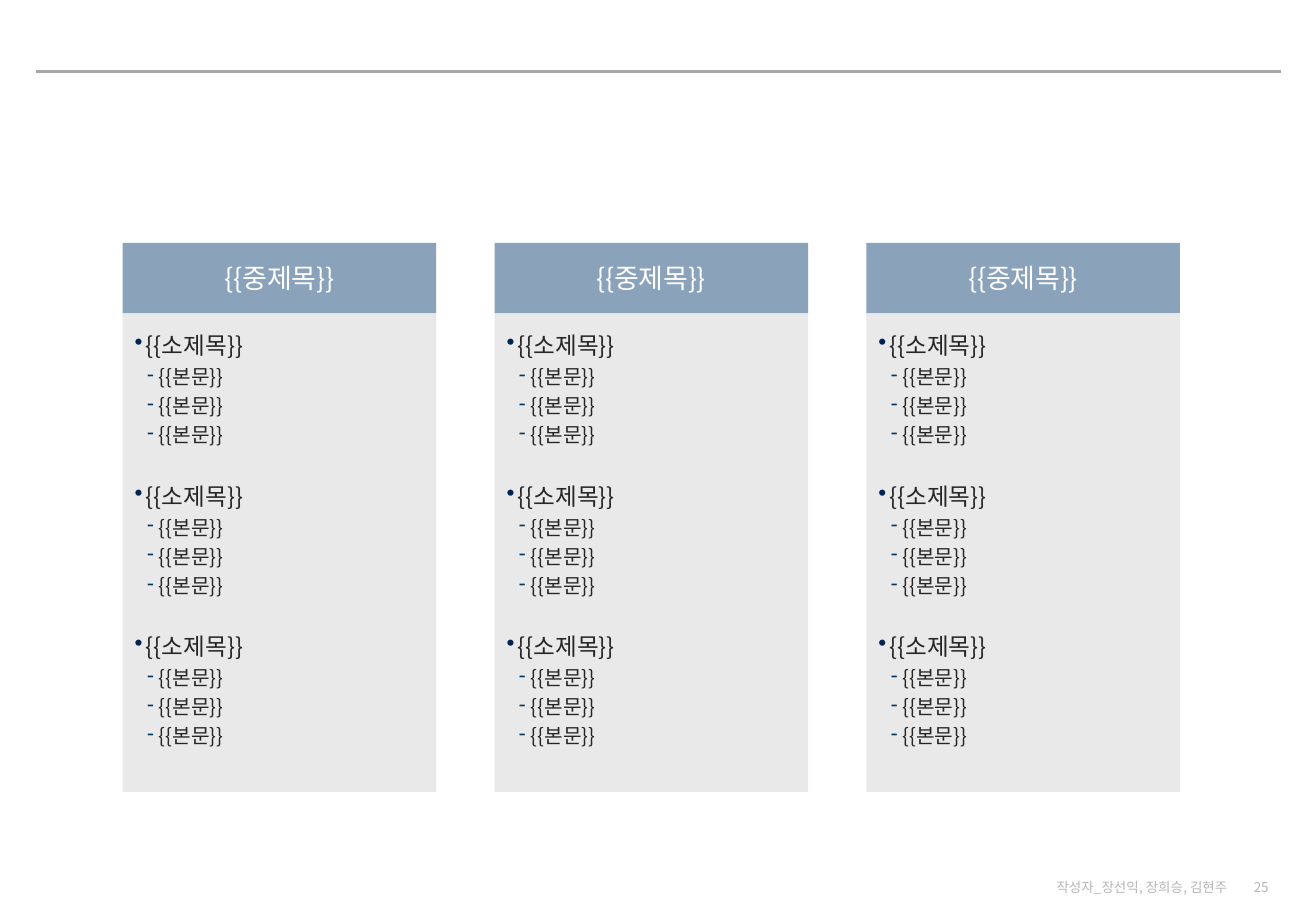
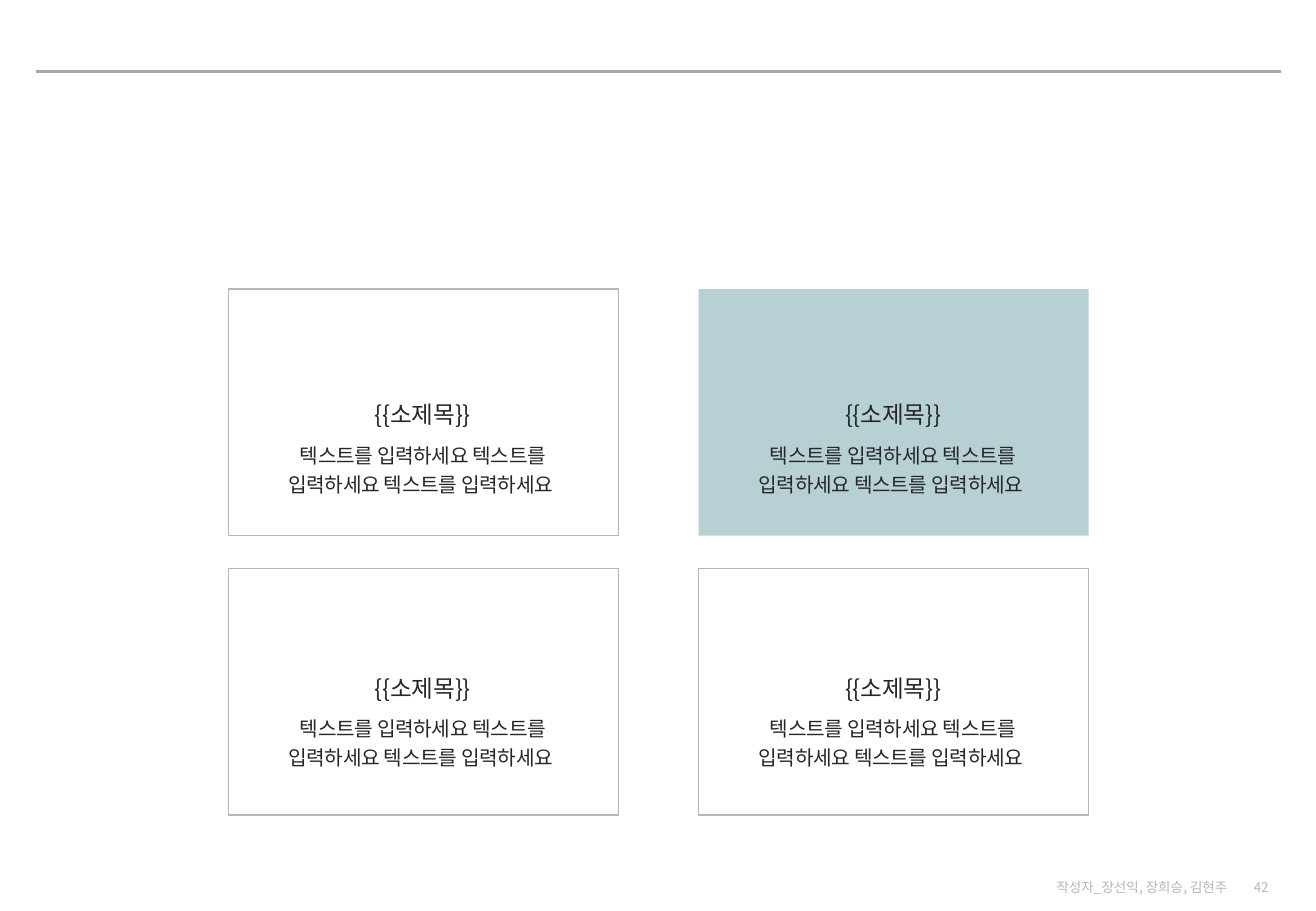
from lxml import etree
from pptx import Presentation
from pptx import util as u
from pptx.dml.color import RGBColor
from pptx.enum import shapes, text
from pptx.oxml.ns import qn

COLORS = {
    "rule": "A6A6A6", "muted": "B6B6B6", "ink": "262626", "white": "FFFFFF",
    "header": "8BA2BB", "panel": "E9E9E9", "accent": "B7D0D4",
    "bullet": "002452", "dash": "003760",
}
FONT = "Noto Sans CJK KR"
CENTER, RIGHT = text.PP_ALIGN.CENTER, text.PP_ALIGN.RIGHT
MIDDLE = text.MSO_ANCHOR.MIDDLE


class Deck:
    def __init__(self):
        self.presentation = Presentation()
        self.presentation.slide_width = u.Inches(10.83)
        self.presentation.slide_height = u.Inches(7.5)
        self.slide = None

    def color(self, name):
        return RGBColor.from_string(COLORS[name])

    def add_slide(self, number):
        layout = self.presentation.slide_layouts[6]
        self.slide = self.presentation.slides.add_slide(layout)
        self.rule(0.3, 10.54, 0.59)
        for left, width, content in ((10.13, 0.41, str(number)),
                                     (8.52, 1.68, "작성자_장선익, 장희승, 김현주")):
            self.label(left, 7.22, width, 0.16, content, 8, "muted",
                       align=RIGHT, anchor=MIDDLE)

    def rule(self, start, end, top):
        line = self.slide.shapes.add_connector(
            shapes.MSO_CONNECTOR.STRAIGHT, u.Inches(start), u.Inches(top),
            u.Inches(end), u.Inches(top))
        line.line.color.rgb = self.color("rule")
        line.line.width = u.Pt(0)
        etree.SubElement(line._element.spPr, qn("a:effectLst"))

    def box(self, left, top, width, height, fill, outline=None):
        shape = self.slide.shapes.add_shape(
            shapes.MSO_SHAPE.RECTANGLE, u.Inches(left), u.Inches(top),
            u.Inches(width), u.Inches(height))
        shape.shadow.inherit = False
        shape.fill.solid()
        shape.fill.fore_color.rgb = self.color(fill)
        if outline:
            shape.line.color.rgb = self.color(outline)
            shape.line.width = u.Pt(0.75)
        else:
            shape.line.fill.background()
        frame = shape.text_frame
        frame.margin_left = frame.margin_right = u.Inches(0.1)
        frame.margin_top = frame.margin_bottom = u.Inches(0.1)
        return frame

    def label(self, left, top, width, height, content, size, color,
              align=CENTER, anchor=text.MSO_ANCHOR.TOP, **style):
        shape = self.slide.shapes.add_textbox(
            u.Inches(left), u.Inches(top), u.Inches(width), u.Inches(height))
        frame = shape.text_frame
        frame.word_wrap = True
        frame.vertical_anchor = anchor
        self.set_text(frame.paragraphs[0], content, size, color, align, **style)

    def set_text(self, paragraph, content, size, color,
                 align=text.PP_ALIGN.LEFT, leading=None, tracking=None):
        paragraph.text = content
        paragraph.alignment = align
        paragraph.line_spacing = leading
        font = paragraph.font
        font.size = u.Pt(size)
        font.name = FONT
        font.color.rgb = self.color(color)
        defaults = paragraph._p.pPr.find(qn("a:defRPr"))
        etree.SubElement(defaults, qn("a:ea"), typeface=FONT)
        if tracking:
            defaults.set("spc", str(round(tracking * 100)))

    def bullet(self, paragraph, symbol, color, margin, indent):
        properties = paragraph._p.get_or_add_pPr()
        properties.set("marL", str(u.Inches(margin)))
        properties.set("indent", str(u.Inches(-indent)))
        tint = etree.SubElement(properties, qn("a:buClr"))
        etree.SubElement(tint, qn("a:srgbClr"), val=COLORS[color])
        etree.SubElement(properties, qn("a:buChar"), char=symbol)

    def outline(self, frame, sections):
        paragraph = frame.paragraphs[0]
        for index, (heading, items) in enumerate(sections):
            if index:
                paragraph = frame.add_paragraph()
            self.bullet(paragraph, "•", "bullet", 0.09, 0.09)
            self.set_text(paragraph, heading, 14, "ink", leading=1.2)
            if index:
                paragraph.space_before = u.Pt(17.3)
            for item in items:
                paragraph = frame.add_paragraph()
                self.bullet(paragraph, "‐", "dash", 0.2, 0.1)
                self.set_text(paragraph, item, 12, "ink", leading=1.2)

    def column(self, left, title, sections):
        header = self.box(left, 2, 2.58, 0.58, "header")
        header.vertical_anchor = MIDDLE
        self.set_text(header.paragraphs[0], title, 16, "white", CENTER, tracking=-0.2)
        panel = self.box(left, 2.58, 2.58, 3.94, "panel")
        panel.vertical_anchor = text.MSO_ANCHOR.TOP
        self.outline(panel, sections)

    def card(self, left, top, title_top, title, body, highlighted):
        if highlighted:
            self.box(left, top, 3.21, 2.03, "accent")
        else:
            self.box(left, top, 3.21, 2.03, "white", "muted")
        for offset, height, content, size in ((0, 0.38, title, 14),
                                              (0.36, 0.58, body, 12)):
            self.label(left + 0.11, title_top + offset, 2.98, height, content,
                       size, "ink", leading=1.2, tracking=-0.2)


def main():
    deck = Deck()

    deck.add_slide(25)
    sections = [("{{소제목}}", ["{{본문}}"] * 3)] * 3
    for index in range(3):
        deck.column(1.01 + index * 3.06, "{{중제목}}", sections)

    deck.add_slide(42)
    body = "텍스트를 입력하세요 텍스트를 입력하세요 텍스트를 입력하세요 "
    for row, (top, title_top) in enumerate(((2.38, 3.2), (4.68, 5.45))):
        for column, left in enumerate((1.88, 5.75)):
            deck.card(left, top, title_top, "{{소제목}}", body,
                      highlighted=(row, column) == (0, 1))

    deck.presentation.save("out.pptx")


if __name__ == "__main__":
    main()
